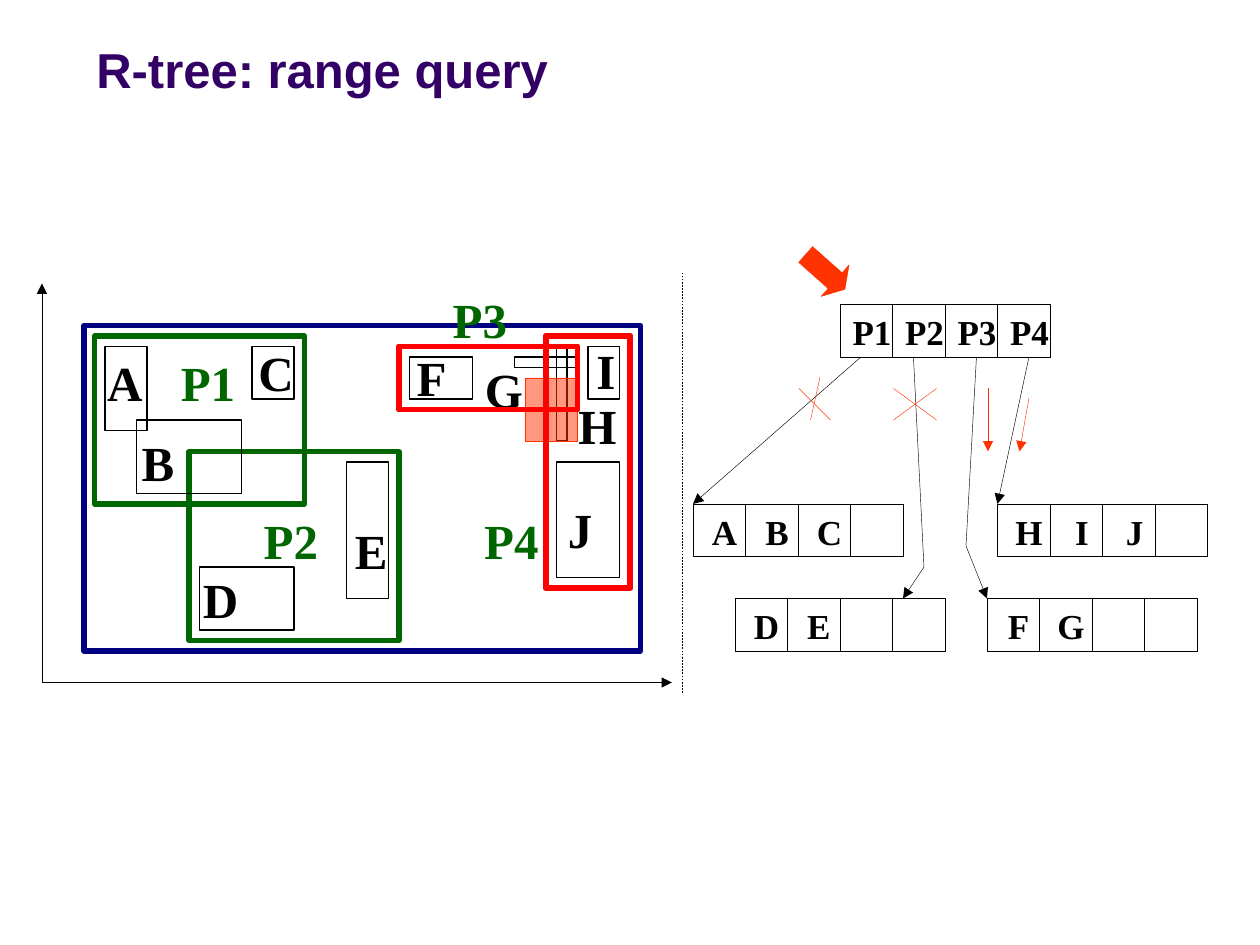
from lxml import etree
from pptx import Presentation
from pptx import util as u
from pptx.dml.color import RGBColor
from pptx.enum import dml, shapes, text
from pptx.oxml.ns import qn

PX = 7620  # EMU in one px, 120 px to the inch
BLACK = RGBColor(0x00, 0x00, 0x00)
GREEN = RGBColor(0x00, 0x66, 0x00)
NAVY = RGBColor(0x00, 0x00, 0x80)
RED = RGBColor(0xFF, 0x00, 0x00)
ORANGE = RGBColor(0xFF, 0x33, 0x00)
PURPLE = RGBColor(0x33, 0x00, 0x66)

# Glyph widths of the bold serif face, in em
EM = {"A": .72, "B": .67, "C": .72, "D": .72, "E": .67, "F": .61, "G": .78,
      "H": .78, "I": .39, "J": .5, "P": .61}


class Board:
    serif, sans = "Times New Roman", "Arial"
    thin, mid, thick = 0.25, 0.75, 3
    cell = 50

    def __init__(self, deck):
        self.slide = deck.slides.add_slide(deck.slide_layouts[6])
        self.root = self.slide.shapes

    def pen(self, item, color, width):
        item.line.color.rgb = color
        item.line.width = u.Pt(width)

    def box(self, at, color, width, fill=None, alpha=None,
            kind=shapes.MSO_SHAPE.RECTANGLE, home=None):
        item = (home or self.root).add_shape(kind, *[v * PX for v in at])
        item.shadow.inherit = False
        if fill is None:
            item.fill.background()
        else:
            item.fill.solid()
            item.fill.fore_color.rgb = fill
        if alpha:
            tint = item.element.spPr.find(qn("a:solidFill"))[0]
            etree.SubElement(tint, qn("a:alpha")).set("val", str(alpha * 1000))
        self.pen(item, color, width)
        return item

    def words(self, at, string, size, color, face, home=None):
        item = (home or self.root).add_textbox(*[v * PX for v in at])
        para = item.text_frame.paragraphs[0]
        run = para.add_run()
        run.text = string
        run.font.name, run.font.size = face, u.Pt(size)
        run.font.bold = True
        run.font.color.rgb = color
        return item.text_frame, para

    def label(self, mid, top, name, size, color=BLACK, home=None):
        """Centred name whose box hugs its text."""
        wide = round(24 + sum(EM.get(c, .5) for c in name) * size * 120 / 72)
        at = (mid - wide // 2, top, wide, 12 + 2 * size)
        frame, para = self.words(at, name, size, color, self.serif, home)
        frame.word_wrap = False
        frame.auto_size = text.MSO_AUTO_SIZE.SHAPE_TO_FIT_TEXT
        frame.vertical_anchor = text.MSO_ANCHOR.MIDDLE
        para.alignment = text.PP_ALIGN.CENTER

    def title(self, at, string):
        frame, _ = self.words(at, string, 28, PURPLE, self.sans)
        frame.word_wrap = True
        frame.vertical_anchor = text.MSO_ANCHOR.BOTTOM

    def line(self, points, color=BLACK, ends=(), dash=None):
        if len(points) == 2:
            (a, b), (c, d) = points
            item = self.root.add_connector(
                shapes.MSO_CONNECTOR.STRAIGHT, a * PX, b * PX, c * PX, d * PX)
        else:
            pen = self.root.build_freeform(*points[0], scale=PX)
            pen.add_line_segments(points[1:], close=False)
            item = pen.convert_to_shape()
            item.fill.background()
        self.pen(item, color, self.thin)
        if dash:
            item.line.dash_style = dash
        props = item.element.spPr
        for end in ends:
            tip = etree.SubElement(props.find(qn("a:ln")), qn(f"a:{end}End"))
            tip.set("type", "triangle")
        etree.SubElement(props, qn("a:effectLst"))

    def node(self, left, top, names):
        """Tree node: a group of four cells, filled from the left."""
        home = self.root.add_group_shape().shapes
        for i in range(4):
            at = (left + i * self.cell, top, self.cell, self.cell)
            self.box(at, BLACK, self.thin, home=home)
        for i, name in enumerate(names):
            self.label(left + i * self.cell + 30, top, name, 20, home=home)


def main():
    deck = Presentation()
    deck.slide_width, deck.slide_height = 1200 * PX, 900 * PX
    b = Board(deck)

    # Bounding regions, objects and the whole space
    p3, p4 = (380, 330, 170, 60), (520, 320, 80, 240)
    for at in [(90, 320, 200, 160), p4, (180, 430, 200, 180), p3]:
        b.box(at, GREEN, b.thick)
    for at in [(100, 330, 40, 80), (240, 330, 40, 50), (130, 400, 100, 70),
               (190, 540, 90, 60), (330, 440, 40, 130), (390, 340, 60, 40),
               (530, 440, 60, 110), (560, 330, 30, 50), (490, 340, 60, 10),
               (530, 330, 10, 90)]:
        b.box(at, BLACK, b.mid)
    b.box((80, 310, 530, 310), NAVY, b.thick)

    # Axes
    b.line([(40, 270), (40, 650), (640, 650)], ends=("head", "tail"))

    # Names on the map
    for name, mid, top in [
            ("A", 119, 330), ("B", 150, 406), ("C", 263, 320), ("D", 210, 536),
            ("E", 353, 490), ("F", 411, 325), ("G", 480, 336), ("H", 569, 371),
            ("I", 577, 318), ("J", 552, 470)]:
        b.label(mid, top, name, 28)
    for name, mid, top in [("P1", 198, 330), ("P2", 277, 480),
                           ("P3", 457, 270), ("P4", 487, 480)]:
        b.label(mid, top, name, 28, GREEN)

    # Tree nodes
    b.node(800, 290, ["P1", "P2", "P3", "P4"])
    b.node(940, 570, "FG")
    b.node(700, 570, "DE")
    b.node(950, 480, "HIJ")
    b.node(660, 480, "ABC")

    # Divider and links from root to leaves
    b.line([(650, 660), (650, 260)], dash=dml.MSO_LINE.DASH)
    for points in [[(820, 340), (660, 480)], [(980, 340), (950, 480)],
                   [(870, 340), (880, 540), (860, 570)],
                   [(930, 340), (920, 520), (940, 570)]]:
        b.line(points, ends=["tail"])

    # Query window and title
    b.box((500, 360, 50, 60), ORANGE, b.thin, ORANGE, 50)
    b.title((80, 40, 990, 60), "R-tree: range query")

    # Search steps: start, pruned links, followed links
    start = b.box((761, 239, 50, 40), ORANGE, b.thin, ORANGE,
                  kind=shapes.MSO_SHAPE.RIGHT_ARROW)
    start.rotation = 41.6
    start.adjustments[0], start.adjustments[1] = 0.5, 0.31
    for points in [[(761, 370), (791, 400)], [(781, 359), (772, 400)],
                   [(892, 370), (851, 400)], [(851, 370), (892, 400)]]:
        b.line(points, ORANGE)
    for points in [[(941, 370), (941, 430)], [(980, 379), (971, 430)]]:
        b.line(points, ORANGE, ["tail"])

    # Regions that meet the query
    for at in (p3, p4):
        b.box(at, RED, b.thick)

    deck.save("out.pptx")


if __name__ == "__main__":
    main()
